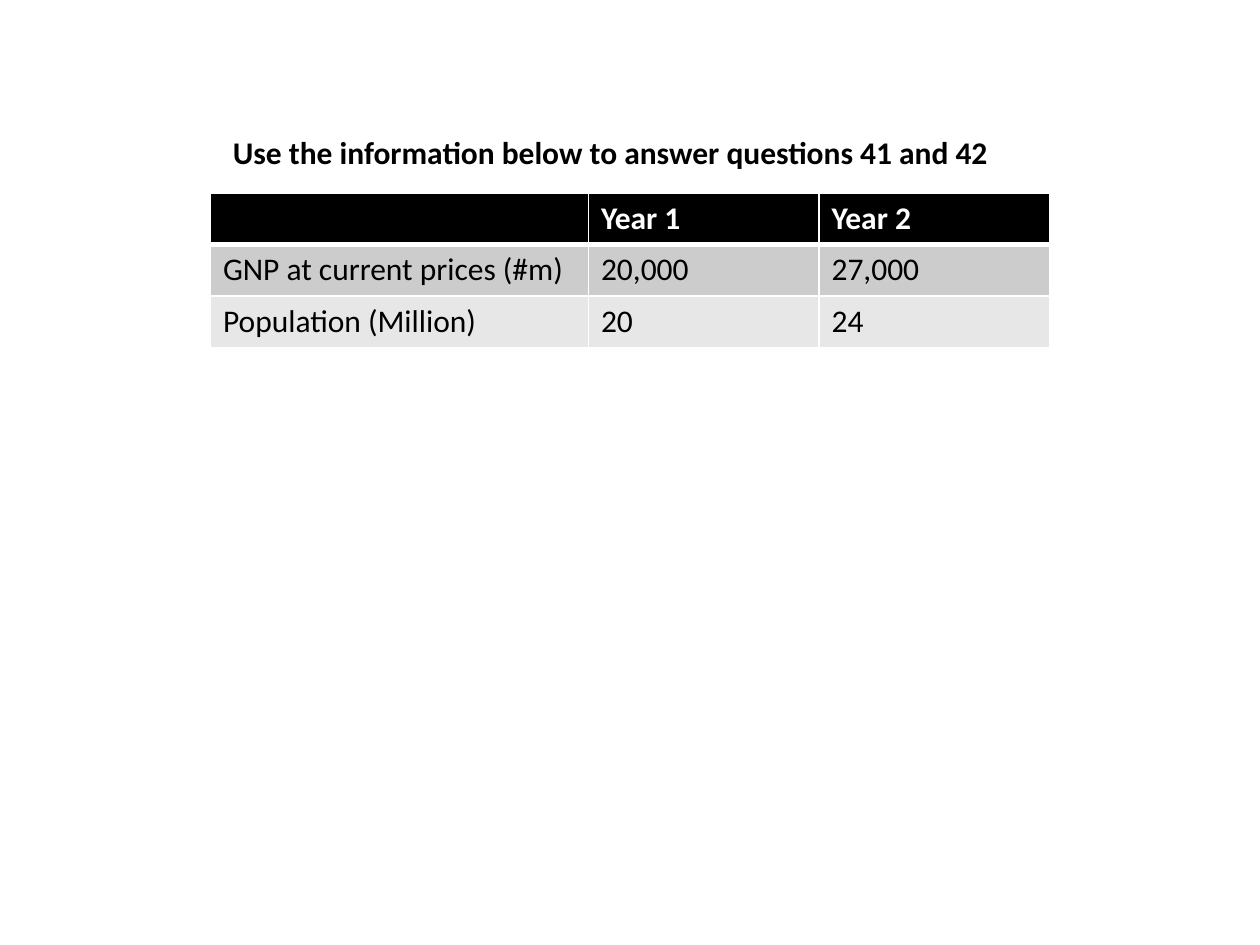
"""Build a slide with a small table of national income figures."""
from lxml.etree import SubElement
from pptx import Presentation
from pptx.dml.color import RGBColor
from pptx.enum.text import MSO_AUTO_SIZE
from pptx.oxml.ns import qn
from pptx.util import Inches, Pt


def rgb(value):
    return RGBColor.from_string(value)


class Deck:
    font, size = "Calibri", 18
    black, white = "000000", "FFFFFF"
    row_fills = [black, "CCCCCC", "E7E7E7"]

    def __init__(self, width, height):
        self.prs = Presentation()
        self.prs.slide_width, self.prs.slide_height = Inches(width), Inches(height)
        self.s = self.prs.slides.add_slide(self.prs.slide_layouts[6])

    def run(self, p, text, color, bold=False):
        r = p.add_run()
        r.text = text
        r.font.name, r.font.size, r.font.bold = self.font, Pt(self.size), bold
        r.font.color.rgb = rgb(color)

    def text(self, x, y, w, h, text):
        tf = self.s.shapes.add_textbox(Inches(x), Inches(y), Inches(w), Inches(h)).text_frame
        tf.word_wrap = False
        tf.auto_size = MSO_AUTO_SIZE.SHAPE_TO_FIT_TEXT
        self.run(tf.paragraphs[0], text, self.black, True)

    def border(self, cell, side, width):
        ln = SubElement(cell._tc.get_or_add_tcPr(), qn(f"a:ln{side}"), w=str(Pt(width)))
        fill = SubElement(ln, qn("a:solidFill"))
        SubElement(fill, qn("a:srgbClr"), val=self.white)

    def table(self, x, y, widths, row_height, rows):
        frame = self.s.shapes.add_table(
            len(rows), len(widths), Inches(x), Inches(y),
            Inches(sum(widths)), Inches(row_height * len(rows)))
        table = frame.table
        for column, width in zip(table.columns, widths):
            column.width = Inches(width)
        for i, values in enumerate(rows):
            table.rows[i].height = Inches(row_height)
            header = i == 0
            widths_by_side = {"L": 1, "R": 1, "T": 3 if i == 1 else 1, "B": 3 if header else 1}
            for j, value in enumerate(values):
                cell = table.cell(i, j)
                for side, width in widths_by_side.items():
                    self.border(cell, side, width)
                cell.fill.solid()
                cell.fill.fore_color.rgb = rgb(self.row_fills[i])
                if value:
                    self.run(cell.text_frame.paragraphs[0], value,
                             self.white if header else self.black, header)


def main():
    deck = Deck(10, 7.5)
    deck.table(1.67, 1.53, [3, 1.83, 1.83], 0.41, [
        ["", "Year 1", "Year 2"],
        ["GNP at current prices (#m)", "20,000", "27,000"],
        ["Population (Million)", "20", "24"],
    ])
    deck.text(1.75, 1.01, 6.27, 0.4, "Use the information below to answer questions 41 and 42")
    deck.prs.save("out.pptx")


if __name__ == "__main__":
    main()
